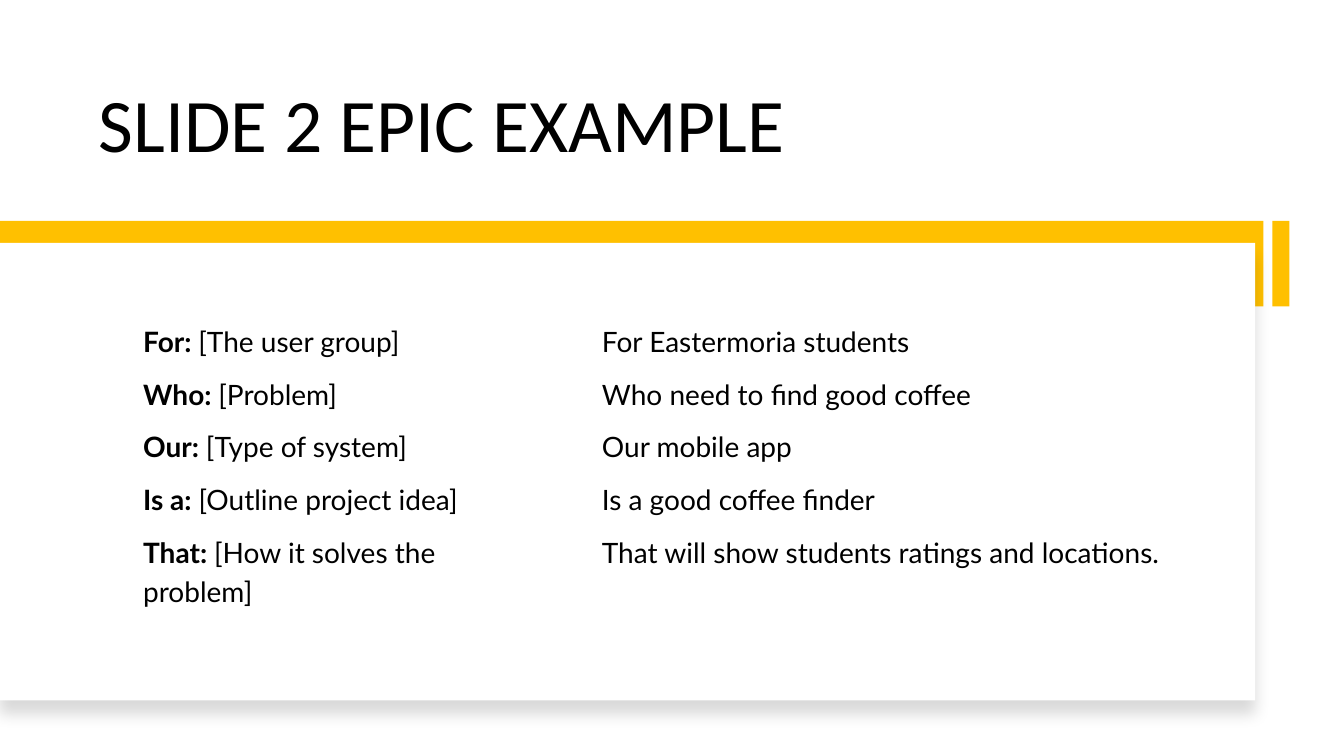
from lxml import etree
from pptx import Presentation
from pptx.dml.color import RGBColor
from pptx.enum.shapes import MSO_SHAPE
from pptx.enum.text import MSO_ANCHOR
from pptx.oxml.ns import qn
from pptx.util import Pt

RECT = MSO_SHAPE.RECTANGLE
BOTTOM = MSO_ANCHOR.BOTTOM
SCALE = 9144
COLORS = {"ink": "000000", "gold": "FFC000", "paper": "FFFFFF"}
PARTS = [
    ("For:", "[The user group]"),
    ("Who:", "[Problem]"),
    ("Our:", "[Type of system]"),
    ("Is a:", "[Outline project idea]"),
    ("That:", "[How it solves the problem]"),
]
SAMPLE = [
    "For Eastermoria students",
    "Who need to find good coffee",
    "Our mobile app",
    "Is a good coffee finder",
    "That will show students ratings and locations.",
]


def px(n):
    return n * SCALE


class Deck:
    """Holds the style and the current slide, and draws its elements."""

    def __init__(self, wide, high):
        self.file = Presentation()
        self.file.slide_width, self.file.slide_height = px(wide), px(high)
        self.slide = self.file.slides.add_slide(self.file.slide_layouts[6])

    def color(self, name):
        return RGBColor.from_string(COLORS[name])

    def style(self, para, face, size, lead):
        para.font.name = face
        para.font.size = Pt(size)
        para.font.color.rgb = self.color("ink")
        para.line_spacing = lead

    def title(self, text, *box):
        frame = self.slide.shapes.add_textbox(*map(px, box)).text_frame
        frame.word_wrap = True
        frame.vertical_anchor = BOTTOM
        para = frame.paragraphs[0]
        para.text = text
        self.style(para, "Calibri", 54, 0.9)

    def block(self, fill, *box):
        shape = self.slide.shapes.add_shape(RECT, *map(px, box))
        shape.fill.solid()
        shape.fill.fore_color.rgb = self.color(fill)
        shape.line.fill.background()
        shape.shadow.inherit = False
        return shape

    def card(self, *box):
        props = self.block("paper", *box)._element.spPr
        glow = etree.SubElement(
            props.find(qn("a:effectLst")), qn("a:outerShdw"),
            blurRad=str(Pt(11)), dist=str(Pt(10)), dir="5400000",
            algn="t", rotWithShape="0")
        tint = etree.SubElement(glow, qn("a:srgbClr"), val=COLORS["ink"])
        etree.SubElement(tint, qn("a:alpha"), val="15000")

    def cell(self, cell, lines):
        cell.fill.background()
        cell.margin_left = cell.margin_right = px(7)
        cell.margin_top = cell.margin_bottom = 0
        frame = cell.text_frame
        for i, line in enumerate(lines):
            para = frame.add_paragraph() if i else frame.paragraphs[0]
            self.style(para, "Lato", 20, 1.15)
            para.space_after = Pt(10)
            para._p.get_or_add_pPr().set("marL", str(px(50)))
            if isinstance(line, str):
                para.text = line
                continue
            key, hint = line
            lead = para.add_run()
            lead.text = key + " "
            lead.font.bold = True
            para.add_run().text = hint

    def table(self, cols, widths, left, top, high):
        grid = self.slide.shapes.add_table(
            1, len(cols), px(left), px(top), px(sum(widths)), px(high)).table
        grid.first_row = grid.horz_banding = False
        for i, (lines, wide) in enumerate(zip(cols, widths)):
            grid.columns[i].width = px(wide)
            self.cell(grid.cell(0, i), lines)


def main():
    deck = Deck(1333, 750)
    deck.title("SLIDE 2 EPIC EXAMPLE", 88, 42, 1010, 130)
    deck.block("gold", 1262, 219, 17, 85)
    deck.block("gold", 0, 219, 1253, 85)
    deck.card(0, 241, 1245, 454)
    deck.table([PARTS, SAMPLE], [455, 619], 85, 317, 245)
    deck.file.save("out.pptx")


if __name__ == "__main__":
    main()
